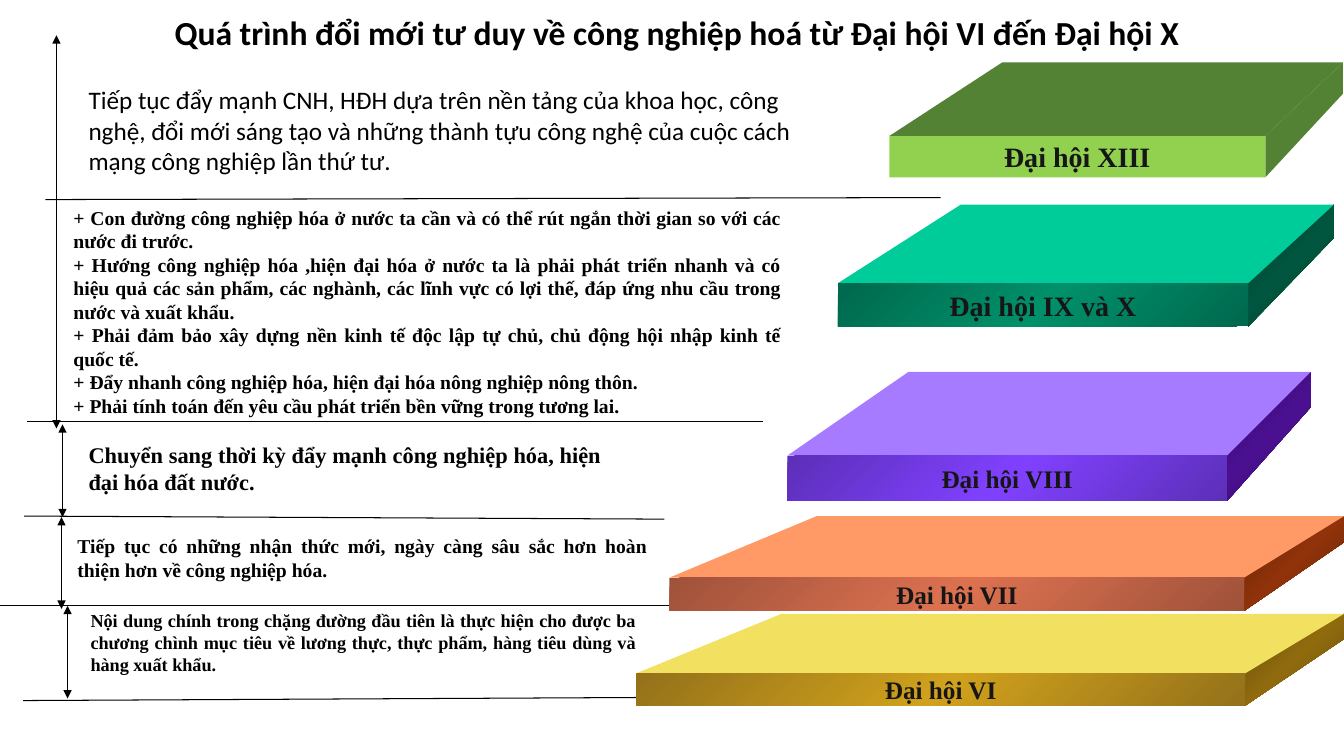
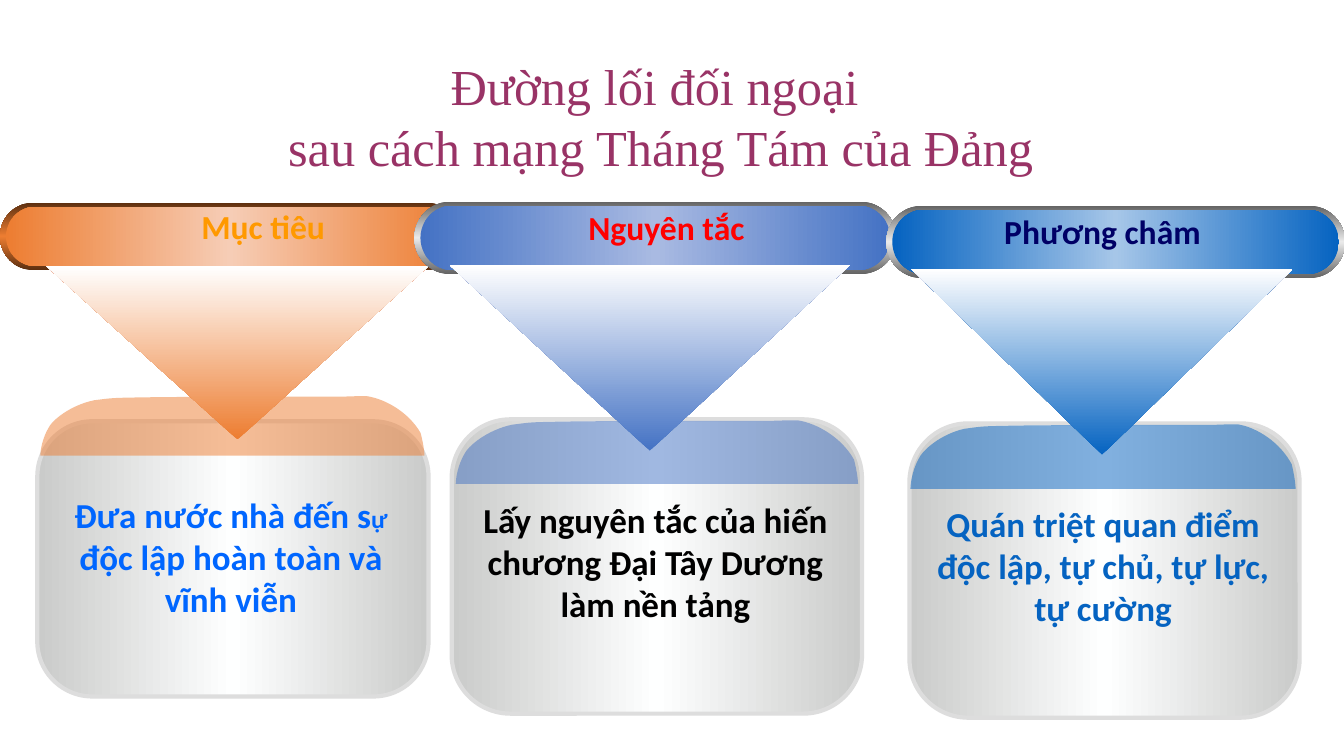
"""Build two slides on the Party's industrialisation and foreign policy lines."""
from dataclasses import dataclass
from typing import NamedTuple

from lxml import etree
from pptx import Presentation
from pptx import util as u
from pptx.dml.color import RGBColor
from pptx.enum import shapes, text
from pptx.oxml.ns import qn

MIDDLE, TOP = text.MSO_ANCHOR.MIDDLE, text.MSO_ANCHOR.TOP
CENTER, LEFT, JUSTIFY = text.PP_ALIGN.CENTER, text.PP_ALIGN.LEFT, text.PP_ALIGN.JUSTIFY


@dataclass(frozen=True)
class Theme:
    sans: str = "Calibri"
    serif: str = "Times New Roman"
    ink: str = "000000"
    paper: str = "FFFFFF"
    label: str = "161616"
    plum: str = "993366"
    card_edge: str = "CACBCA"
    card_middle: str = "FEFFFF"
    card_border: str = "DDDDDD"
    heading_size: int = 24
    card_size: int = 25
    small_size: int = 18
    title_size: int = 36


THEME = Theme()


class Box(NamedTuple):
    left: float
    top: float
    width: float
    height: float

    def inches(self) -> list:
        return [u.Inches(value) for value in self]

    def inset(self, dx: float, dy: float) -> "Box":
        return Box(self.left + dx, self.top + dy, self.width - 2 * dx, self.height - 2 * dy)


class Style(NamedTuple):
    size: float
    font: str = THEME.sans
    color: str = THEME.ink
    bold: bool = True
    align: int = CENTER


@dataclass(frozen=True)
class Step:
    label: str
    size: int
    front: tuple
    back: tuple
    heights: tuple
    top_fill: str
    front_fill: tuple
    side_fill: tuple


@dataclass(frozen=True)
class Note:
    box: Box
    style: Style
    paragraphs: tuple


@dataclass(frozen=True)
class Pillar:
    heading: str
    heading_color: str
    heading_box: Box
    rim: Box
    rim_fill: tuple
    pill_middle: str
    accent: str
    funnel: Box
    card: Box
    cap: Box
    body: tuple
    body_color: str
    body_box: Box


STEPS = (
    Step("Đại hội VI", 18, (6.31, 12.35), (7.75, 13.33), (6.09, 6.34, 6.68, 7), "F2E160",
         ("94711A", "D0A11C", "94711A"), ("674D0A", "906B0E", "674D0A")),
    Step("Đại hội VII", 18, (6.64, 12.34), (8.1, 13.33), (5.12, 5.38, 5.73, 6.06), "FF9966",
         ("9F523A", "DC7150", "9F523A"), ("672407", "90330A", "672407")),
    Step("Đại hội VIII", 18, (7.81, 12.17), (9.01, 13), (3.69, 4.04, 4.52, 4.97), "A77BFF",
         ("5C2FB8", "8041FF", "5C2FB8"), ("360B68", "4B1092", "360B68")),
    Step("Đại hội IX và X", 20, (8.31, 12.38), (9.53, 13.23), (2.03, 2.36, 2.81, 3.24), "00CC99",
         ("00684D", "00906A", "00684D"), ("003E2D", "00563F", "003E2D")),
    Step("Đại hội XIII", 20, (8.82, 12.55), (9.94, 13.32), (0.62, 0.93, 1.35, 1.76), "548235",
         ("92D050",), ("548235",)),
)

DIVIDERS = (
    (6.31, 6.92, 0.23, 6.95), (7.51, 6.01, 0, 6.01), (6.59, 5.15, 0.24, 5.12),
    (7.57, 4.18, 0.27, 4.18), (9.33, 1.96, 0.45, 1.98),
)
SPANS = ((0.67, 6.01, 6.93), (0.61, 5.13, 6.04), (0.62, 4.21, 5.13), (0.56, 0.35, 4.25))

NOTES = (
    Note(Box(0.8, 6, 5.6, 0.76), Style(13, THEME.serif, align=JUSTIFY), (
        "Nội dung chính trong chặng đường đầu tiên là thực hiện cho được ba chương chình mục tiêu "
        "về lương thực, thực phẩm, hàng tiêu dùng và hàng xuất khẩu.",)),
    Note(Box(0.67, 5.25, 5.85, 0.57), Style(14, THEME.serif, align=JUSTIFY), (
        "Tiếp tục có những nhận thức mới, ngày càng sâu sắc hơn hoàn thiện hơn "
        "về công nghiệp hóa.",)),
    Note(Box(0.78, 4.33, 5.28, 0.64), Style(16, THEME.serif, align=JUSTIFY), (
        "Chuyển sang thời kỳ đẩy mạnh công nghiệp hóa, hiện đại hóa đất nước.",)),
    Note(Box(0.63, 1.99, 7.22, 2.22), Style(14, THEME.serif, align=JUSTIFY), (
        "+ Con đường công nghiệp hóa ở nước ta cần và có thể rút ngắn thời gian so với các nước "
        "đi trước.",
        "+ Hướng công nghiệp hóa ,hiện đại hóa ở nước ta là phải phát triển nhanh và có hiệu quả "
        "các sản phẩm, các nghành, các lĩnh vực có lợi thế, đáp ứng nhu cầu trong nước và "
        "xuất khẩu.",
        "+ Phải đảm bảo xây dựng nền kinh tế độc lập tự chủ, chủ động hội nhập kinh tế quốc tế.",
        "+ Đẩy nhanh công nghiệp hóa, hiện đại hóa nông nghiệp nông thôn.",
        "+ Phải tính toán đến yêu cầu phát triển bền vững trong tương lai.")),
)
LATEST = Note(Box(0.78, 0.79, 7.26, 1.01), Style(THEME.small_size, bold=False, align=LEFT), (
    "Tiếp tục đẩy mạnh CNH, HĐH dựa trên nền tảng của khoa học, công nghệ, đổi mới sáng tạo "
    "và những thành tựu công nghệ của cuộc cách mạng công nghiệp lần thứ tư.",))

ORANGE_RIM = ("5C2F10", "ED7D31", "5C2F10")
SILVER_RIM = ("636363", "EAEAEA", "636363")
PILLARS = (
    Pillar("Mục tiêu", "FF9900", Box(1.89, 1.99, 1.44, 0.51), Box(0, 2.01, 4.56, 0.67),
           ORANGE_RIM, "F6CDB6", "ED7D31", Box(0.46, 2.64, 3.79, 1.72),
           Box(0.37, 4.18, 3.88, 2.73), Box(0.4, 3.93, 3.81, 0.59),
           (("Đưa nước nhà đến s", THEME.card_size), ("ự ", THEME.small_size),
            ("độc lập hoàn toàn và vĩnh viễn", THEME.card_size)),
           "0066FF", Box(0.37, 4.85, 3.84, 1.36)),
    Pillar("Nguyên tắc", "FF0000", Box(5.73, 2, 1.76, 0.51), Box(4.11, 2, 4.78, 0.72),
           SILVER_RIM, "A9BAE2", "4472C4", Box(4.46, 2.63, 3.97, 1.84),
           Box(4.48, 4.16, 4.07, 2.92), Box(4.52, 4.17, 3.99, 0.63),
           (("Lấy nguyên tắc của hiến chương Đại Tây Dương làm nền tảng", THEME.card_size),),
           "000000", Box(4.48, 4.9, 4.04, 1.36)),
    Pillar("Phương châm", "000066", Box(9.85, 2.04, 2.17, 0.51), Box(8.79, 2.04, 4.55, 0.72),
           SILVER_RIM, "A6C6E8", "0563C1", Box(9.04, 2.67, 3.78, 1.84),
           Box(9.02, 4.2, 3.87, 2.92), Box(9.03, 4.21, 3.82, 0.64),
           (("Quán triệt quan điểm độc lập, tự chủ, tự lực, tự cường", THEME.card_size),),
           "0563C1", Box(9.02, 4.94, 3.84, 1.36)),
)

CAP_START = (0, 1)
CAP_CURVES = (
    ((0, 1), (0, 0.78), (0.02, 0.55)),
    ((0.03, 0.4), (0.08, 0.15), (0.14, 0.07)),
    ((0.19, 0.03), (0.18, 0.03), (0.28, 0.02)),
    ((0.38, 0.01), (0.64, 0.01), (0.73, 0.01)),
    ((0.83, 0.01), (0.79, 0), (0.85, 0)),
    ((0.9, 0.05), (0.96, 0.28), (0.99, 0.62)),
    ((1, 0.87), (1, 1), (1, 1)),
)


def paint(shape, colors: tuple, angle: int = 0, opacity: int = 100) -> None:
    shape.shadow.inherit = False
    shape.line.fill.background()
    if len(colors) == 1:
        shape.fill.solid()
        shape.fill.fore_color.rgb = RGBColor.from_string(colors[0])
    else:
        shape.fill.gradient()
        shape.fill.gradient_angle = -angle % 360
        stops = shape.element.spPr.find(".//" + qn("a:gsLst"))
        for stop in list(stops):
            stops.remove(stop)
        for index, color in enumerate(colors):
            stop = etree.SubElement(stops, qn("a:gs"), pos=str(100000 * index // (len(colors) - 1)))
            etree.SubElement(stop, qn("a:srgbClr"), val=color)
    if opacity < 100:
        for color in shape.element.spPr.iter(qn("a:srgbClr")):
            etree.SubElement(color, qn("a:alpha"), val=str(opacity * 1000))


def add_preset(slide, kind, box: Box, colors: tuple, angle: int = 0, corner: float | None = None):
    shape = slide.shapes.add_shape(kind, *box.inches())
    if corner is not None:
        shape.adjustments[0] = corner
    paint(shape, colors, angle)
    return shape


def add_polygon(slide, points: list, colors: tuple, angle: int = 0, opacity: int = 100):
    corners = [(u.Inches(x), u.Inches(y)) for x, y in points]
    builder = slide.shapes.build_freeform(*corners[0])
    builder.add_line_segments(corners[1:], close=True)
    polygon = builder.convert_to_shape()
    paint(polygon, colors, angle, opacity)
    return polygon


def add_cap(slide, box: Box, color: str) -> None:
    def place(x: float, y: float) -> tuple:
        return box.left + x * box.width, box.top + y * box.height

    knots = [place(*CAP_START)] + [place(*curve[-1]) for curve in CAP_CURVES]
    cap = add_polygon(slide, knots, (color,), opacity=50)
    segments = list(cap.element.spPr.iter(qn("a:lnTo")))
    for segment, curve in zip(segments, CAP_CURVES):
        bend = etree.Element(qn("a:cubicBezTo"))
        for x, y in (place(*point) for point in curve):
            etree.SubElement(bend, qn("a:pt"), x=str(u.Inches(x) - cap.left),
                             y=str(u.Inches(y) - cap.top))
        segment.getparent().replace(segment, bend)


def add_rule(slide, x1: float, y1: float, x2: float, y2: float, arrows: bool = False) -> None:
    ends = [u.Inches(value) for value in (x1, y1, x2, y2)]
    rule = slide.shapes.add_connector(shapes.MSO_CONNECTOR.STRAIGHT, *ends)
    rule.line.color.rgb = RGBColor.from_string(THEME.ink)
    rule.line.width = u.Pt(0.75)
    if arrows:
        outline = rule.element.spPr.find(qn("a:ln"))
        for end in ("a:headEnd", "a:tailEnd"):
            etree.SubElement(outline, qn(end), type="triangle")
    etree.SubElement(rule.element.spPr, qn("a:effectLst"))


def write(shape, paragraphs: tuple, style: Style, anchor=TOP, wrap: bool = True) -> None:
    frame = shape.text_frame
    frame.auto_size = text.MSO_AUTO_SIZE.NONE
    frame.word_wrap = wrap
    frame.vertical_anchor = anchor
    for index, content in enumerate(paragraphs):
        paragraph = frame.add_paragraph() if index else frame.paragraphs[0]
        paragraph.alignment = style.align
        font = paragraph.font
        font.name, font.size, font.bold = style.font, u.Pt(style.size), style.bold
        font.color.rgb = RGBColor.from_string(style.color)
        for wording, size in ((content, style.size),) if isinstance(content, str) else content:
            run = paragraph.add_run()
            run.text = wording
            if size != style.size:
                run.font.size = u.Pt(size)


def add_text(slide, box: Box, paragraphs: tuple, style: Style, wrap: bool = True) -> None:
    write(slide.shapes.add_textbox(*box.inches()), paragraphs, style, wrap=wrap)


def add_titled_slide(deck, box: Box, lines: tuple, style: Style):
    slide = deck.slides.add_slide(deck.slide_layouts[5])
    title = slide.shapes.title
    title.left, title.top, title.width, title.height = box.inches()
    write(title, lines, style)
    return slide


def draw_step(slide, step: Step) -> None:
    (left, right), (back_left, back_right) = step.front, step.back
    back, back_base, front, base = step.heights
    add_polygon(slide, [(back_right, back_base), (right, base), (right, front),
                        (back_right, back)], step.side_fill, 45)
    add_polygon(slide, [(right, front), (left, front), (back_left, back),
                        (back_right, back)], (step.top_fill,))
    face = add_preset(slide, shapes.MSO_SHAPE.RECTANGLE,
                      Box(left, front, right - left, base - front), step.front_fill, 45)
    write(face, (step.label,), Style(step.size, THEME.serif, THEME.label), MIDDLE, wrap=False)


def draw_pillar(slide, pillar: Pillar) -> None:
    rounded = shapes.MSO_SHAPE.ROUNDED_RECTANGLE
    card = add_preset(slide, rounded, pillar.card,
                      (THEME.card_edge, THEME.card_middle, THEME.card_edge), corner=0.2)
    card.line.color.rgb = RGBColor.from_string(THEME.card_border)
    card.line.width = u.Pt(3)
    add_cap(slide, pillar.cap, pillar.accent)
    add_text(slide, pillar.body_box, (pillar.body,),
             Style(THEME.card_size, color=pillar.body_color))
    add_preset(slide, rounded, pillar.rim, pillar.rim_fill, 90, corner=0.5)
    add_preset(slide, rounded, pillar.rim.inset(0.06, 0.04),
               (pillar.accent, pillar.pill_middle, pillar.accent), corner=0.5)
    add_text(slide, pillar.heading_box, (pillar.heading,),
             Style(THEME.heading_size, color=pillar.heading_color), wrap=False)
    funnel = add_preset(slide, shapes.MSO_SHAPE.ISOSCELES_TRIANGLE, pillar.funnel,
                        (pillar.accent, THEME.paper), 90)
    funnel.rotation = 180


def main() -> None:
    deck = Presentation()
    deck.slide_width, deck.slide_height = u.Inches(13.33), u.Inches(7.5)

    congresses = add_titled_slide(
        deck, Box(1.25, 0.07, 10.78, 0.5),
        ("Quá trình đổi mới tư duy về công nghiệp hoá từ Đại hội VI đến Đại hội X",),
        Style(THEME.heading_size))
    paint(congresses.shapes.title, (THEME.paper,))
    congresses.shapes.title.text_frame.margin_left = u.Inches(0.25)
    for divider in DIVIDERS:
        add_rule(congresses, *divider)
    for x, top, bottom in SPANS:
        add_rule(congresses, x, top, x, bottom, arrows=True)
    for step in STEPS:
        draw_step(congresses, step)
    for note in NOTES:
        add_text(congresses, note.box, note.paragraphs, note.style)
    panel = add_preset(congresses, shapes.MSO_SHAPE.RECTANGLE, LATEST.box, (THEME.paper,))
    write(panel, LATEST.paragraphs, LATEST.style)

    diplomacy = add_titled_slide(
        deck, Box(0.22, 0.5, 12.67, 1.16),
        ("Đường lối đối ngoại ", "sau cách mạng Tháng Tám của Đảng"),
        Style(THEME.title_size, THEME.serif, THEME.plum, bold=False))
    for pillar in PILLARS:
        draw_pillar(diplomacy, pillar)

    deck.save("out.pptx")


if __name__ == "__main__":
    main()
